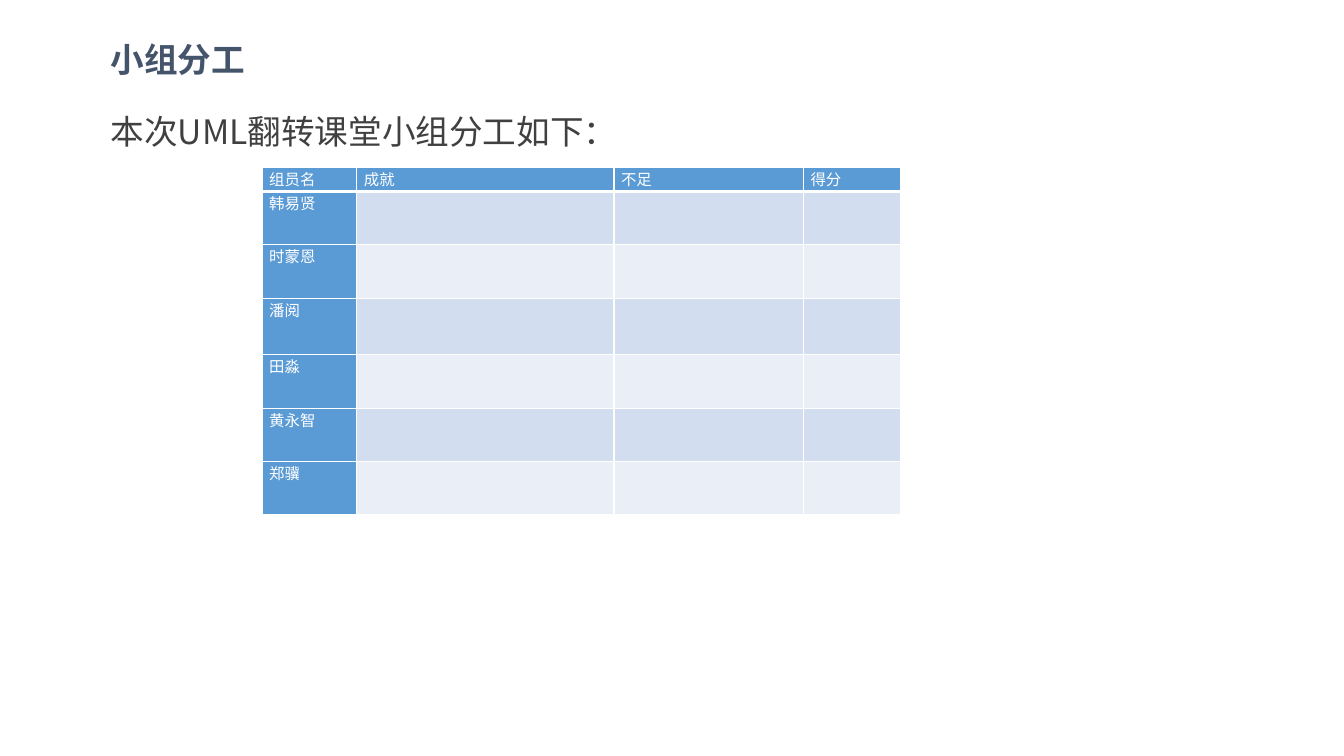
from lxml import etree
from pptx import Presentation
from pptx.dml.color import RGBColor
from pptx.enum.text import MSO_ANCHOR, PP_ALIGN
from pptx.oxml.ns import qn
from pptx.util import Inches, Pt

MIDDLE, TOP = MSO_ANCHOR.MIDDLE, MSO_ANCHOR.TOP
CENTER, LEFT = PP_ALIGN.CENTER, PP_ALIGN.LEFT

SLATE = RGBColor(0x44, 0x54, 0x6A)
GRAY = RGBColor(0x40, 0x40, 0x40)
WHITE = RGBColor(0xFF, 0xFF, 0xFF)
BLUE = RGBColor(0x5B, 0x9B, 0xD5)
BANDS = (RGBColor(0xD2, 0xDE, 0xEF), RGBColor(0xEA, 0xEF, 0xF7))

HAN = "Noto Sans CJK SC"
HEADS = ("组员名", "成就", "不足", "得分")
NAMES = ("韩易贤", "时蒙恩", "潘阅", "田淼", "黄永智", "郑骥")
COLS = (0.94, 2.55, 1.88, 0.96)
ROWS = (0.24, 0.53, 0.53, 0.56, 0.53, 0.53, 0.53)


def set_all(target, values):
    for name, value in values.items():
        setattr(target, name, value)


def write(frame, text, size, color, face=HAN, bold=False):
    run = frame.paragraphs[0].add_run()
    run.text = text
    set_all(run.font, {"size": Pt(size), "name": face, "bold": bold})
    run.font.color.rgb = color
    # Chinese characters take the East Asian typeface
    props = run.font._element
    props.set("lang", "zh-CN")
    etree.SubElement(props, qn("a:ea")).set("typeface", HAN)


def add_text(slide, box, text, color, frame_format, para_format, bold=False):
    frame = slide.shapes.add_textbox(*map(Inches, box)).text_frame
    set_all(frame, {"word_wrap": True, **frame_format})
    set_all(frame.paragraphs[0], para_format)
    write(frame, text, 24, color, bold=bold)


def add_edges(cell, base):
    props = cell._tc.get_or_add_tcPr()
    widths = {"lnL": 1, "lnR": 1, "lnT": 1, "lnB": base}
    for spot, (tag, width) in enumerate(widths.items()):
        line = etree.Element(qn(f"a:{tag}"), w=str(Pt(width)))
        fill = etree.SubElement(line, qn("a:solidFill"))
        etree.SubElement(fill, qn("a:srgbClr")).set("val", str(WHITE))
        props.insert(spot, line)


def fill_cell(cell, text, color, base):
    set_all(cell, {
        "margin_left": Inches(0.07), "margin_right": Inches(0.07),
        "margin_top": 0, "margin_bottom": 0, "vertical_anchor": TOP,
    })
    cell.fill.solid()
    cell.fill.fore_color.rgb = color
    add_edges(cell, base)
    if text:
        write(cell.text_frame, text, 11, WHITE, face="Arial")


def add_grid(slide):
    box = (2.6, 1.66, sum(COLS), sum(ROWS))
    table = slide.shapes.add_table(
        len(ROWS), len(COLS), *map(Inches, box)).table
    for column, width in zip(table.columns, COLS):
        column.width = Inches(width)
    for row, height in zip(table.rows, ROWS):
        row.height = Inches(height)

    # Header row and name column are blue, the rest is banded
    lines = [HEADS] + [(name, "", "", "") for name in NAMES]
    for i, line in enumerate(lines):
        for j, text in enumerate(line):
            head = i == 0 or j == 0
            color = BLUE if head else BANDS[(i - 1) % 2]
            fill_cell(table.cell(i, j), text, color, 3 if i == 0 else 1)
    # The header's thick rule is shared with the row below
    for j in range(len(COLS)):
        edge = table.cell(1, j)._tc.tcPr.find(qn("a:lnT"))
        edge.set("w", str(Pt(3)))


def main():
    deck = Presentation()
    set_all(deck, {"slide_width": Inches(13.33), "slide_height": Inches(7.5)})
    slide = deck.slides.add_slide(deck.slide_layouts[6])

    # Title and lead sentence
    add_text(slide, (1, 0.31, 1.53, 0.55), "小组分工", SLATE,
             {"margin_left": 0, "margin_right": 0, "vertical_anchor": MIDDLE},
             {"alignment": CENTER}, bold=True)
    add_text(slide, (1, 0.85, 5.56, 0.71), "本次UML翻转课堂小组分工如下：", GRAY,
             {"vertical_anchor": TOP},
             {"alignment": LEFT, "line_spacing": 1.5})

    # Division of work
    add_grid(slide)
    deck.save("out.pptx")


if __name__ == "__main__":
    main()
